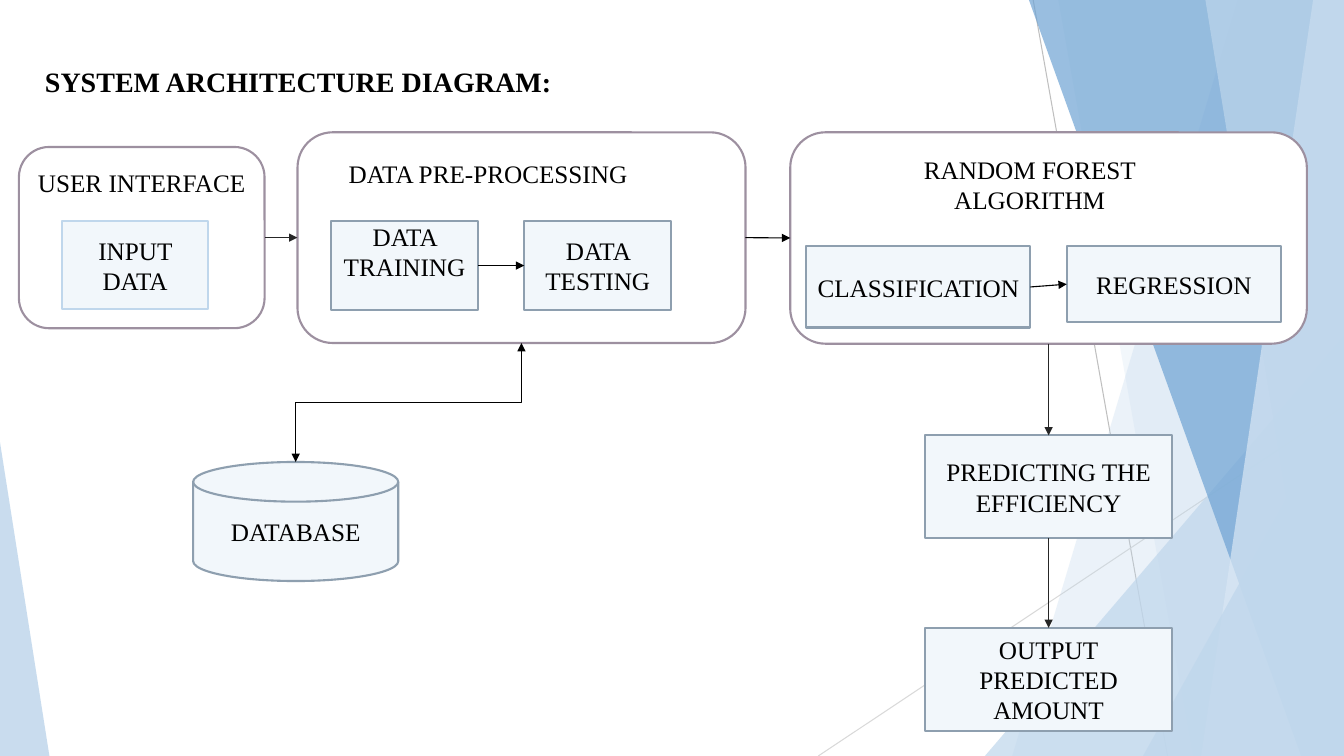
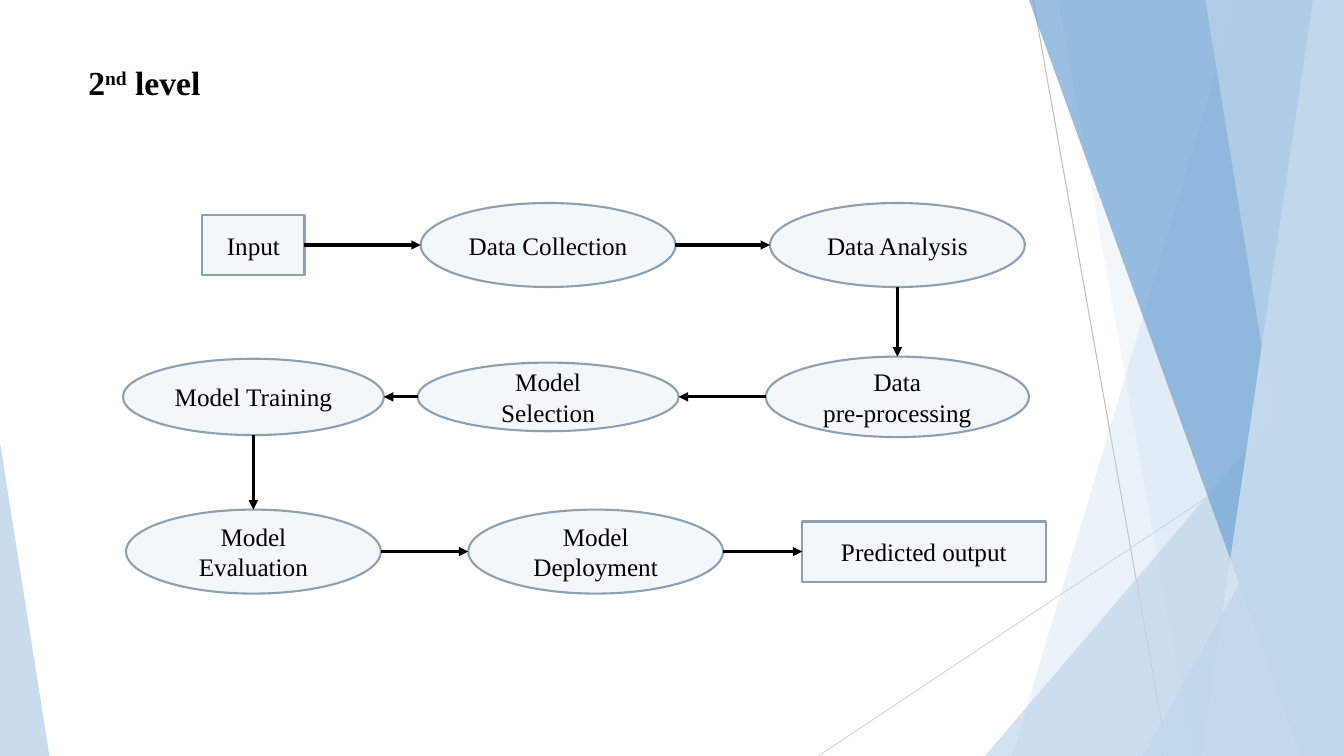
import pptx
import pptx.util
import pptx.dml.color
import pptx.enum.shapes
import pptx.enum.text
import pptx.oxml
import pptx.oxml.ns
import lxml.etree

Pt = pptx.util.Pt
KIND = pptx.enum.shapes.MSO_SHAPE
LINK = pptx.enum.shapes.MSO_CONNECTOR
ALIGN = pptx.enum.text.PP_ALIGN
ANCHOR = pptx.enum.text.MSO_ANCHOR

FONT = "Times New Roman"
WIDE, HIGH = 960, 540
TOP, LEFT, BOTTOM, RIGHT = range(4)
HEX = {
    "ink": "000000", "soft": "262626", "white": "FFFFFF",
    "pale": "F2F7FB", "edge": "8E9FAF", "frame": "9D90A0",
    "sky": "C0D7EC", "blue": "6EA3D3", "mist": "D9E7F4",
    "grey": "BFBFBF", "light": "D9D9D9",
}


def rgb(name):
    return pptx.dml.color.RGBColor.from_string(HEX[name])


def sub(parent, tag, **attrs):
    return lxml.etree.SubElement(parent, pptx.oxml.ns.qn(tag), attrs)


def paint(shape, fill, line=None, alpha=None):
    """Fill and outline a shape; alpha is the opacity in percent."""
    shape.shadow.inherit = False
    shape.fill.solid()
    shape.fill.fore_color.rgb = rgb(fill)
    if alpha:
        color = shape.element.spPr.find(".//" + pptx.oxml.ns.qn("a:srgbClr"))
        sub(color, "a:alpha", val=str(alpha * 1000))
    if line:
        shape.line.color.rgb = rgb(line)
        shape.line.width = Pt(1.5)
    else:
        shape.line.fill.background()


def style(frame, size=18, bold=False, align=ALIGN.CENTER):
    frame.word_wrap = True
    for para in frame.paragraphs:
        para.alignment = align
        for run in para.runs:
            run.font.name = FONT
            run.font.size = Pt(size)
            run.font.bold = bold
            run.font.color.rgb = rgb("ink")


def node(slide, kind, text, x, y, w, h, line="edge", fill="pale"):
    shape = slide.shapes.add_shape(kind, Pt(x), Pt(y), Pt(w), Pt(h))
    paint(shape, fill, line)
    if text:
        shape.text_frame.text = text
        shape.text_frame.vertical_anchor = ANCHOR.MIDDLE
        style(shape.text_frame)
    return shape


def label(slide, text, x, y, w, h, **look):
    box = slide.shapes.add_textbox(Pt(x), Pt(y), Pt(w), Pt(h))
    box.text_frame.text = text
    style(box.text_frame, **look)
    return box


def title(slide, text, x, y, w, size):
    return label(slide, text, x, y, w, size * 1.5, size=size, bold=True,
                 align=ALIGN.LEFT)


def stroke(link, color, width, ends=()):
    """Style a connector; ends names the arrowheads, head before tail."""
    sub(link.element.spPr, "a:effectLst")
    link.line.color.rgb = rgb(color)
    link.line.width = Pt(width)
    for end in ends:
        sub(link.line._get_or_add_ln(), "a:" + end, type="triangle")


def spot(shape, side):
    """Give the middle of one side of a shape."""
    across = {LEFT: 0, RIGHT: shape.width}.get(side, shape.width // 2)
    down = {TOP: 0, BOTTOM: shape.height}.get(side, shape.height // 2)
    return shape.left + across, shape.top + down


def tie(slide, start, out, end, into, color="ink", width=0.79):
    """Draw a straight arrow from one side of a shape to another's."""
    link = slide.shapes.add_connector(
        LINK.STRAIGHT, *spot(start, out), *spot(end, into))
    square = (KIND.RECTANGLE, KIND.ROUNDED_RECTANGLE)
    if start.auto_shape_type in square:
        link.begin_connect(start, out)
    if end.auto_shape_type in square:
        link.end_connect(end, into)
    stroke(link, color, width, ["tailEnd"])


def elbow(slide, start, end):
    """Draw a two-headed bent arrow down from start to end at its left."""
    (x1, y1), (x2, y2) = spot(start, BOTTOM), spot(end, TOP)
    mid_x, mid_y = (x1 + x2) // 2, (y1 + y2) // 2
    half_w, half_h = (y2 - y1) // 2, (x1 - x2) // 2
    link = slide.shapes.add_connector(
        LINK.ELBOW, mid_x - half_w, mid_y - half_h,
        mid_x + half_w, mid_y + half_h)
    link.element.spPr.xfrm.set("rot", "5400000")
    stroke(link, "ink", 0.79, ["headEnd", "tailEnd"])


def band(slide, top, foot, color, alpha):
    """Draw a full-height band from a slanted left edge to the right edge."""
    pen = slide.shapes.build_freeform(Pt(top), 0)
    pen.add_line_segments([(Pt(x), Pt(y)) for x, y in (
        (WIDE, 0), (WIDE, HIGH), (foot, HIGH))])
    paint(pen.convert_to_shape(), color, alpha=alpha)


def wedge(slide, x, y, w, peak, alpha):
    """Draw a triangle standing on the slide's foot, its tip at peak."""
    shape = slide.shapes.add_shape(
        KIND.ISOSCELES_TRIANGLE, Pt(x), Pt(y), Pt(w), Pt(HIGH - y))
    shape.adjustments[0] = peak
    paint(shape, "sky", alpha=alpha)


def backdrop(slide):
    for x1, y1, x2, color in ((738, 0, 834, "grey"),
                              (WIDE, 290, 584.5, "light")):
        link = slide.shapes.add_connector(
            LINK.STRAIGHT, Pt(x1), Pt(y1), Pt(x2), Pt(HIGH))
        stroke(link, color, 0.75)
    band(slide, 884, 723, "sky", 30)
    band(slide, 756, 852, "sky", 20)
    wedge(slide, 703.5, 240, 256.5, 1, 72)
    band(slide, 735, 929.5, "blue", 70)
    band(slide, 938, 858, "mist", 70)
    band(slide, 861, 949, "sky", 65)
    wedge(slide, 816.5, 283, 143.5, 1, 80)
    wedge(slide, 0, 316, 35.3, 0, 85)


def panel(slide, x, y, w, h):
    return node(slide, KIND.ROUNDED_RECTANGLE, "", x, y, w, h,
                "frame", "white")


def user(slide, x, y, w, h):
    frame = panel(slide, x, y, w, h)
    label(slide, "USER INTERFACE", x + 6.5, y + 11, 170, 29, align=ALIGN.LEFT)
    node(slide, KIND.RECTANGLE, "INPUT DATA", x + 31, y + 53, 104, 63, "sky")
    return frame


def prep(slide, x, y, w, h):
    frame = panel(slide, x, y, w, h)
    label(slide, "DATA PRE-PROCESSING", x + 29.5, y + 15, 225, 29,
          align=ALIGN.LEFT)
    train, test = [
        node(slide, KIND.RECTANGLE, text, x + left, y + 63.5, 105, 63.5)
        for text, left in (("DATA TRAINING", 24), ("DATA TESTING", 162))]
    train.text_frame.margin_top = 0
    train.text_frame.margin_bottom = Pt(20)
    tie(slide, train, RIGHT, test, LEFT)
    return frame


def forest(slide, x, y, w, h):
    frame = panel(slide, x, y, w, h)
    label(slide, "RANDOM FOREST ALGORITHM", x + 83, y + 12, 176, 51)
    sort = node(slide, KIND.RECTANGLE, "CLASSIFICATION",
                x + 11.5, y + 81.5, 160, 58)
    fit = node(slide, KIND.RECTANGLE, "REGRESSION",
               x + 197.5, y + 81.5, 153, 54)
    tie(slide, sort, RIGHT, fit, LEFT)
    return frame


def system(slide):
    title(slide, "SYSTEM ARCHITECTURE DIAGRAM:", 25, 42.5, 433.5, 20)
    front = user(slide, 13.5, 105, 175.5, 129.5)
    data = prep(slide, 212.5, 94.5, 320, 150.5)
    model = forest(slide, 564.5, 94.5, 369, 151)
    guess, result = [
        node(slide, KIND.RECTANGLE, text, 661, y, 176, 73.5)
        for text, y in (("PREDICTING THE EFFICIENCY", 311),
                        ("OUTPUT\nPREDICTED AMOUNT", 448.5))]
    store = node(slide, KIND.FLOWCHART_MAGNETIC_DISK, "DATABASE",
                 138, 330, 146.5, 85)
    tie(slide, front, RIGHT, data, LEFT, "soft")
    tie(slide, data, RIGHT, model, LEFT)
    tie(slide, model, BOTTOM, guess, TOP, "soft")
    tie(slide, guess, BOTTOM, result, TOP, "soft")
    elbow(slide, data, store)


def chain(slide, x, y):
    """Draw the steps as a snake of three rows from a top left corner."""
    box, oval = KIND.RECTANGLE, KIND.OVAL
    rows = [
        (30, [("Input", box, 93, 73, 43),
              ("Data Collection", oval, 303.5, 182, 60),
              ("Data Analysis", oval, 553, 182, 60)]),
        (138.5, [("Data\npre-processing", oval, 553, 188, 57.5),
                 ("Model Selection", oval, 303.5, 186.5, 49),
                 ("Model Training", oval, 93, 186.5, 54.5)]),
        (249, [("Model Evaluation", oval, 93, 182, 60),
               ("Model Deployment", oval, 337.5, 182, 60),
               ("Predicted output", box, 572, 174, 43)]),
    ]
    steps = [
        node(slide, kind, text, x + mid - w / 2, y + down - h / 2, w, h)
        for down, row in rows for text, kind, mid, w, h in row]
    east, south, west = (RIGHT, LEFT), (BOTTOM, TOP), (LEFT, RIGHT)
    turns = [east, east, south, west, west, south, east, east]
    for start, end, (out, into) in zip(steps, steps[1:], turns):
        tie(slide, start, out, end, into, width=2.25)


def level(slide):
    head = title(slide, "2", 56, 40.5, 104, 24)
    para = head.text_frame.paragraphs[0]
    for text in ("nd", " level"):
        para.add_run().text = text
    style(head.text_frame, 24, True, ALIGN.LEFT)
    para.runs[1]._r.get_or_add_rPr().set("baseline", "30000")
    chain(slide, 88, 145)


def main():
    deck = pptx.Presentation()
    deck.slide_width, deck.slide_height = Pt(WIDE), Pt(HIGH)
    for draw in (system, level):
        slide = deck.slides.add_slide(deck.slide_layouts[6])
        backdrop(slide)
        draw(slide)
    deck.save("out.pptx")


if __name__ == "__main__":
    main()
